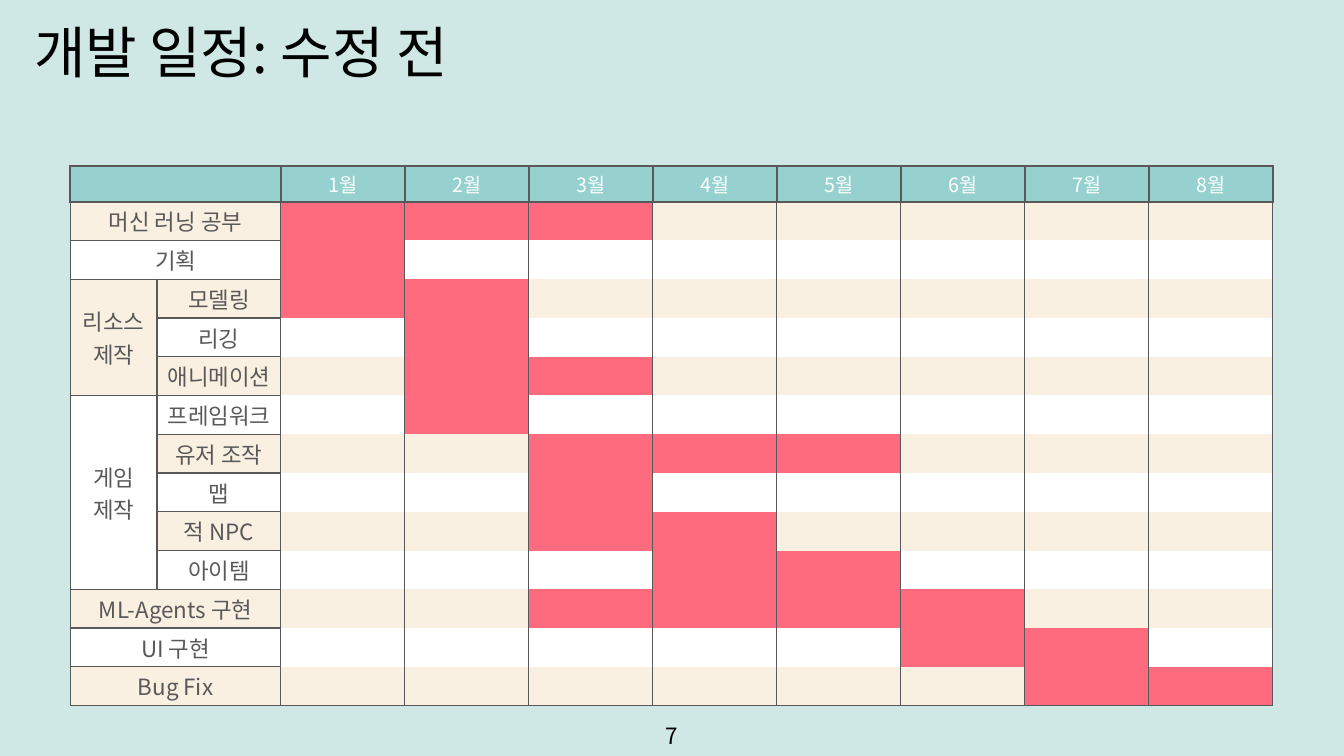
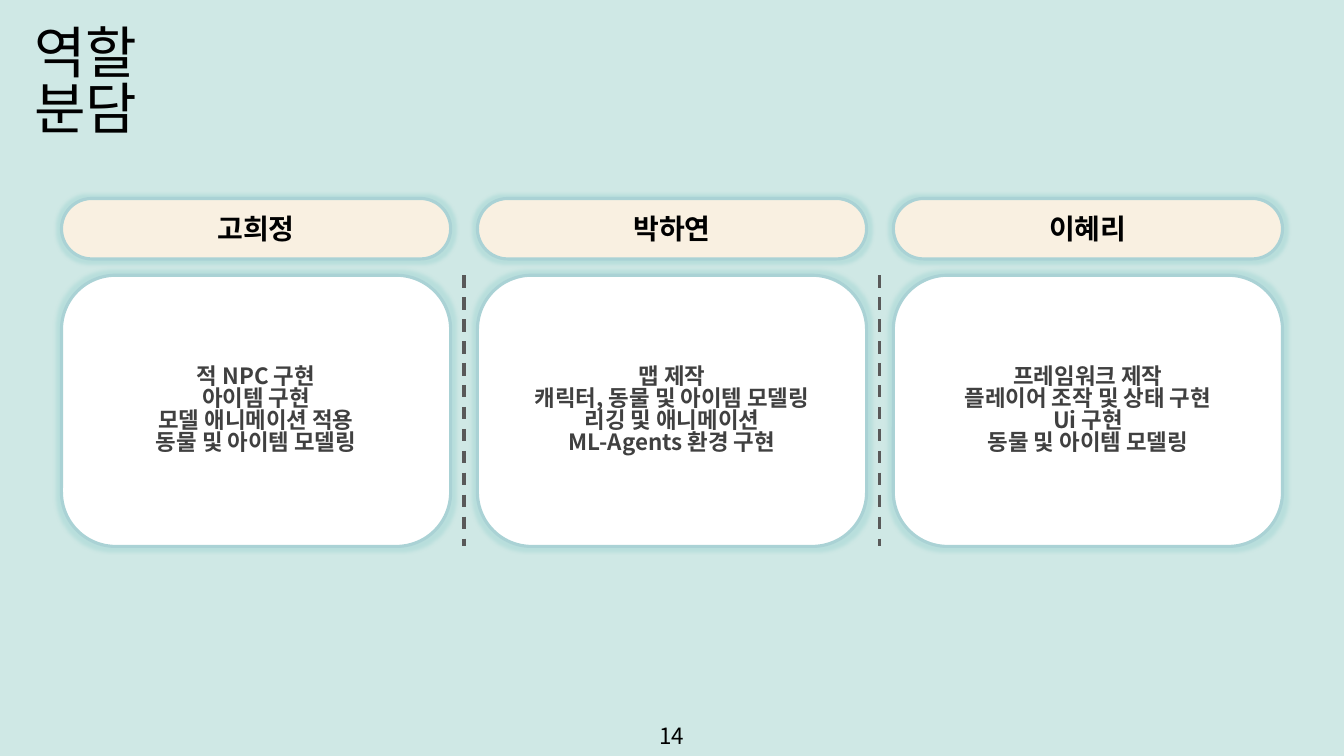
from dataclasses import dataclass
from typing import Optional

import lxml.etree
import pptx
import pptx.dml.color
import pptx.enum.dml
import pptx.enum.shapes
import pptx.enum.text
import pptx.oxml.ns
import pptx.util

Pt = pptx.util.Pt
ALIGN = pptx.enum.text.PP_ALIGN
ANCHOR = pptx.enum.text.MSO_ANCHOR
SHAPES = pptx.enum.shapes.MSO_SHAPE

FONT = "Noto Sans CJK KR"
MINT, TEAL, EDGE = "CFE8E5", "96D1CF", "AAD2D5"
CREAM, WHITE, PINK = "F9F0E1", "FFFFFF", "FF6B7E"
BLACK, GRAY, CHARCOAL = "000000", "595959", "404040"

MONTHS = 8
THICK, THIN = 1.5, 1


@dataclass(frozen=True)
class TextStyle:
    size: float
    color: str
    bold: bool = False
    align: ALIGN = ALIGN.CENTER
    anchor: ANCHOR = ANCHOR.MIDDLE
    spacing: Optional[float] = None


@dataclass(frozen=True)
class Task:
    name: str
    first_month: int
    last_month: int
    group: str = ""


@dataclass(frozen=True)
class Member:
    name: str
    duties: str


TITLE = TextStyle(40, BLACK, align=ALIGN.LEFT, anchor=ANCHOR.TOP, spacing=0.83)
PAGE_NUMBER = TextStyle(16, BLACK)
MONTH = TextStyle(14, WHITE)
TASK = TextStyle(16, GRAY)
NAME = TextStyle(20, BLACK, bold=True)
DUTY = TextStyle(16, CHARCOAL, bold=True, spacing=0.83)

RESOURCES, GAME = "리소스\n제작", "게임\n제작"
TASKS = [
    Task("머신 러닝 공부", 1, 3),
    Task("기획", 1, 1),
    Task("모델링", 1, 2, RESOURCES),
    Task("리깅", 2, 2, RESOURCES),
    Task("애니메이션", 2, 3, RESOURCES),
    Task("프레임워크", 2, 2, GAME),
    Task("유저 조작", 3, 5, GAME),
    Task("맵", 3, 3, GAME),
    Task("적 NPC", 3, 4, GAME),
    Task("아이템", 4, 5, GAME),
    Task("ML-Agents 구현", 3, 6),
    Task("UI 구현", 6, 7),
    Task("Bug Fix", 7, 8),
]
MEMBERS = [
    Member("고희정", "적 NPC 구현\n아이템 구현\n모델 애니메이션 적용\n동물 및 아이템 모델링"),
    Member("박하연", "맵 제작\n캐릭터, 동물 및 아이템 모델링\n리깅 및 애니메이션\nML-Agents 환경 구현"),
    Member("이혜리", "프레임워크 제작\n플레이어 조작 및 상태 구현\nUi 구현\n동물 및 아이템 모델링"),
]


def rgb(color: str) -> pptx.dml.color.RGBColor:
    return pptx.dml.color.RGBColor.from_string(color)


def add_xml(parent, tag: str, **attributes: str):
    """Append a DrawingML element such as a:ln."""
    return lxml.etree.SubElement(parent, pptx.oxml.ns.qn(tag), attributes)


def paint(fill, color: str) -> None:
    fill.solid()
    fill.fore_color.rgb = rgb(color)


def write(frame, text: str, style: TextStyle) -> None:
    """Fill a text frame, one paragraph for each line."""
    frame.word_wrap = True
    frame.vertical_anchor = style.anchor
    for index, line in enumerate(text.split("\n")):
        para = frame.add_paragraph() if index else frame.paragraphs[0]
        para.alignment = style.align
        if style.spacing:
            para.line_spacing = style.spacing
        span = para.add_run()
        span.text = line
        for key, value in {"name": FONT, "size": Pt(style.size), "bold": style.bold}.items():
            setattr(span.font, key, value)
        span.font.color.rgb = rgb(style.color)
        add_xml(span.font._element, "a:ea", typeface=FONT)


def add_text(page, text: str, style: TextStyle, left: float, top: float,
             width: float, height: float) -> None:
    box = page.shapes.add_textbox(Pt(left), Pt(top), Pt(width), Pt(height))
    write(box.text_frame, text, style)


def add_page(deck, title: str, title_width: float, number: int):
    page = deck.slides.add_slide(deck.slide_layouts[6])
    paint(page.background.fill, MINT)
    add_text(page, title, TITLE, 17.3, 17.3, title_width, 55.4)
    add_text(page, str(number), PAGE_NUMBER, 445, 511.2, 69.8, 28.8)
    return page


def format_cell(cell, fill: str, text: str = "", style: TextStyle = TASK,
                sides: float = THIN, top: float = 0, bottom: float = 0) -> None:
    """Set borders (0 means none), fill and text of a table cell."""
    properties = cell._tc.get_or_add_tcPr()
    for tag, width in {"a:lnL": sides, "a:lnR": sides, "a:lnT": top, "a:lnB": bottom}.items():
        line = add_xml(properties, tag, w=str(Pt(width)))
        if width:
            add_xml(add_xml(line, "a:solidFill"), "a:srgbClr", val=GRAY)
        else:
            add_xml(line, "a:noFill")
    paint(cell.fill, fill)
    for key, value in {"left": 3.6, "right": 3.6, "top": 1.8, "bottom": 1.8}.items():
        setattr(cell, f"margin_{key}", Pt(value))
    if text:
        write(cell.text_frame, text, style)
        cell.vertical_anchor = style.anchor
    else:
        add_xml(cell.text_frame.paragraphs[0]._p, "a:endParaRPr", sz=str(style.size * 100))


def add_schedule(page) -> None:
    group_width, column_width, header_height, row_height = 61.9, 88.57, 25.2, 27.7
    frame = page.shapes.add_table(
        len(TASKS) + 1, MONTHS + 2, Pt(50.2), Pt(118.8),
        Pt(group_width + column_width * (MONTHS + 1)),
        Pt(header_height + row_height * len(TASKS)))
    table = frame.table
    table.first_row = table.horz_banding = False
    for index, column in enumerate(table.columns):
        column.width = Pt(column_width if index else group_width)
    for index, row in enumerate(table.rows):
        row.height = Pt(row_height if index else header_height)

    for column in range(MONTHS + 2):
        label = f"{column - 1}월" if column > 1 else ""
        format_cell(table.cell(0, column), TEAL, label, MONTH, THICK, THICK, THICK)
    table.cell(0, 0).merge(table.cell(0, 1))

    previous_group = ""
    for row, task in enumerate(TASKS, start=1):
        band = CREAM if row % 2 else WHITE
        top = THICK if row == 1 else 0
        bottom = THIN if row == len(TASKS) else 0
        if task.group:
            labels = (task.group if task.group != previous_group else "", task.name)
        else:
            labels = (task.name, "")
        for column, label in enumerate(labels):
            format_cell(table.cell(row, column), band, label, top=top or THIN, bottom=THIN)
        for month in range(1, MONTHS + 1):
            busy = task.first_month <= month <= task.last_month
            format_cell(table.cell(row, month + 1), PINK if busy else band,
                        top=top, bottom=bottom)
        if not task.group:
            table.cell(row, 0).merge(table.cell(row, 1))
        elif task.group != previous_group:
            size = sum(other.group == task.group for other in TASKS)
            table.cell(row, 0).merge(table.cell(row + size - 1, 0))
        previous_group = task.group


def add_card(page, text: str, style: TextStyle, fill: str, rounding: float,
             left: float, top: float, width: float, height: float) -> None:
    """Add a rounded rectangle with a soft glow."""
    card = page.shapes.add_shape(SHAPES.ROUNDED_RECTANGLE, Pt(left), Pt(top), Pt(width), Pt(height))
    card.adjustments[0] = rounding
    paint(card.fill, fill)
    card.line.color.rgb = rgb(EDGE)
    card.line.width = Pt(2.25)
    card.shadow.inherit = False
    effects = card._element.spPr.find(pptx.oxml.ns.qn("a:effectLst"))
    glow = add_xml(effects, "a:glow", rad=str(Pt(5)))
    add_xml(add_xml(glow, "a:srgbClr", val=TEAL), "a:alpha", val="40000")
    write(card.text_frame, text, style)


def add_divider(page, x: float, top: float, bottom: float) -> None:
    divider = page.shapes.add_connector(
        pptx.enum.shapes.MSO_CONNECTOR.STRAIGHT, Pt(x), Pt(top), Pt(x), Pt(bottom))
    divider.line.color.rgb = rgb(GRAY)
    divider.line.width = Pt(2.25)
    divider.line.dash_style = pptx.enum.dml.MSO_LINE.DASH
    add_xml(divider._element.spPr, "a:effectLst")


def add_roles(page) -> None:
    width, gap, top, height = 278, 19.1, 196.6, 193.7
    for index, member in enumerate(MEMBERS):
        left = 43.9 + index * (width + gap)
        add_card(page, member.name, NAME, CREAM, 0.5, left, 141.8, width, 43.2)
        add_card(page, member.duties, DUTY, WHITE, 0.2, left, top, width, height)
        if index:
            add_divider(page, left - gap / 2, top, top + height)


def main() -> None:
    deck = pptx.Presentation()
    deck.slide_width, deck.slide_height = Pt(960), Pt(540)
    add_schedule(add_page(deck, "개발 일정: 수정 전", 318.2, 7))
    add_roles(add_page(deck, "역할 분담", 166, 14))
    deck.save("out.pptx")


if __name__ == "__main__":
    main()
